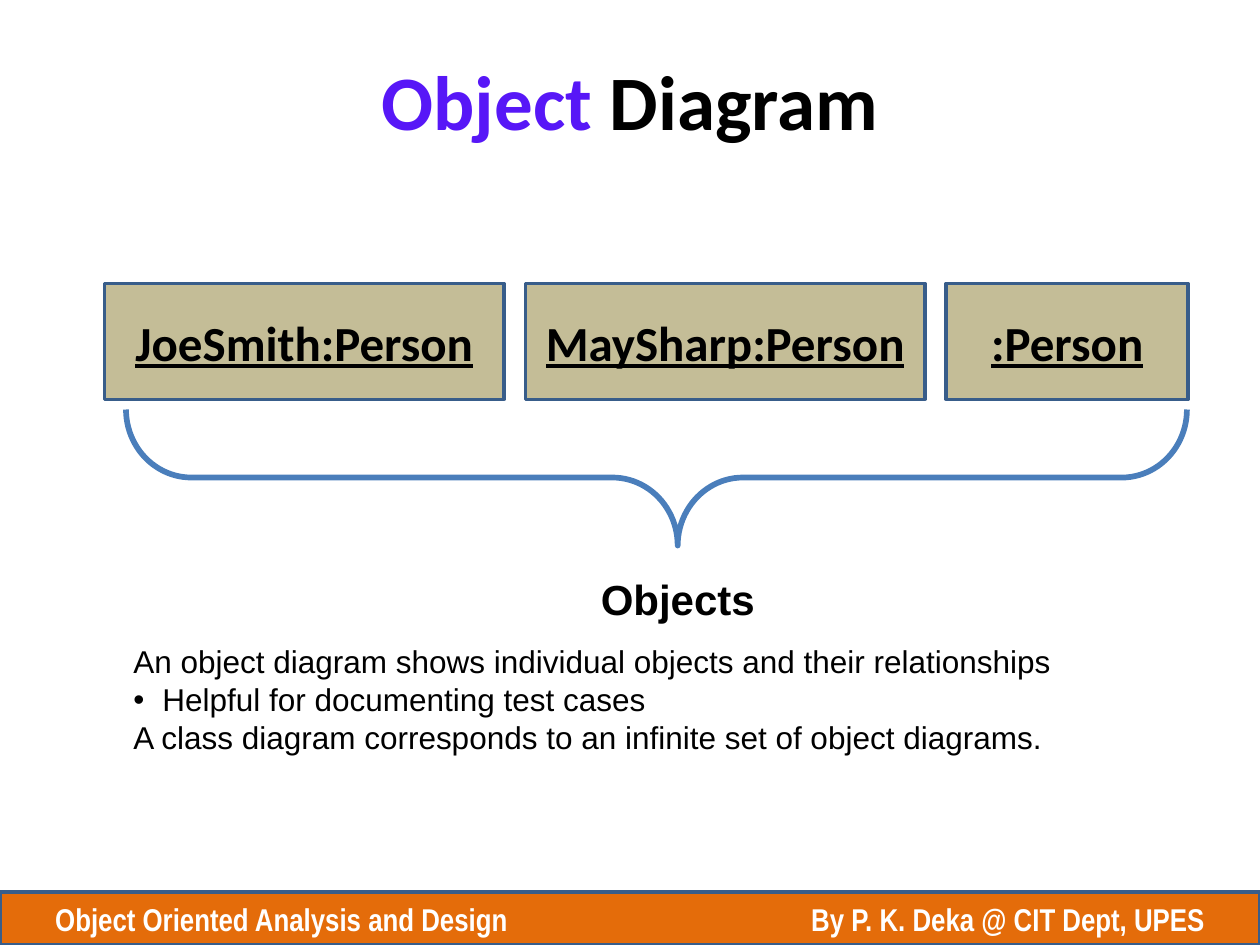
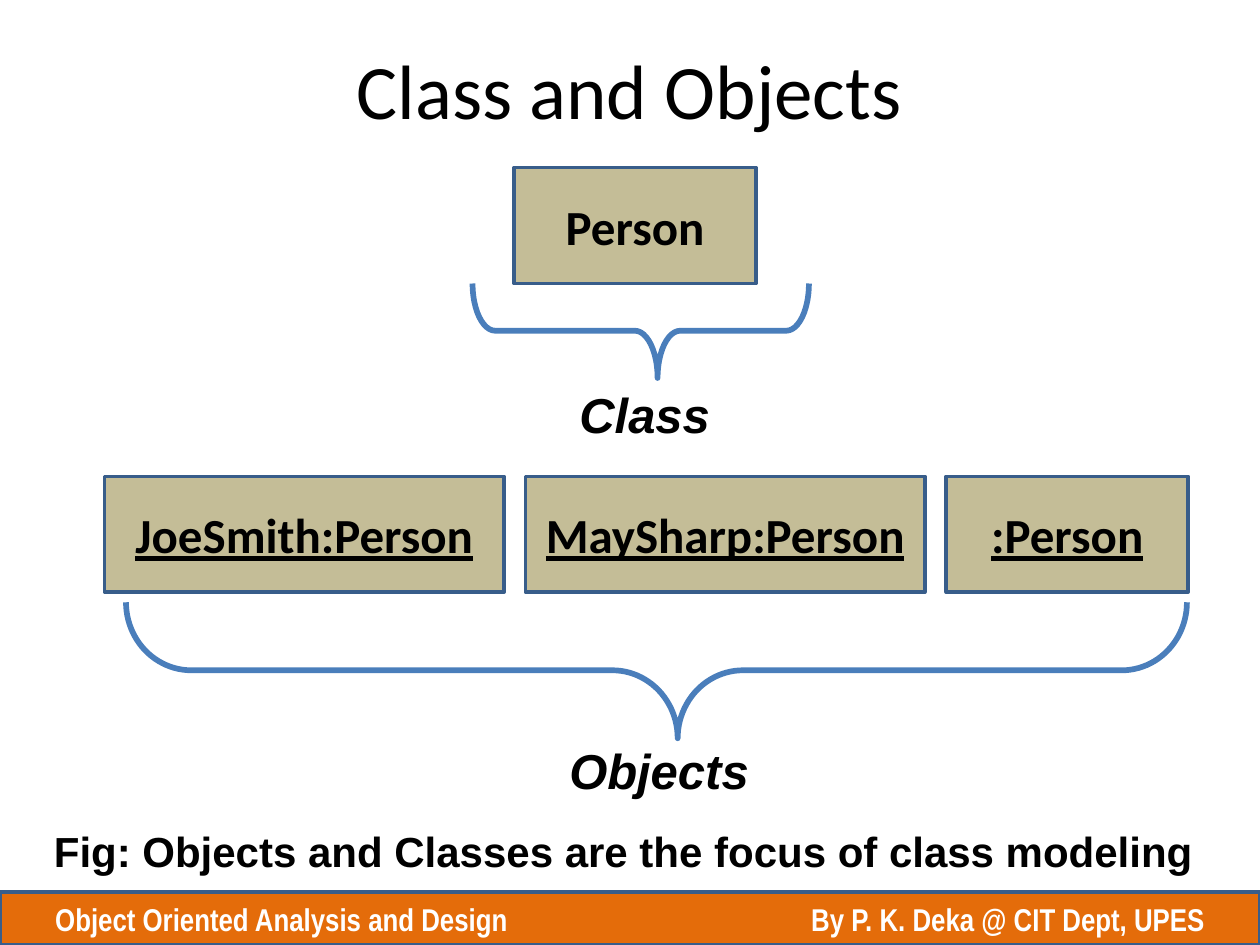
"""Builds two slides on object diagrams and on classes and their objects."""
from dataclasses import dataclass

import lxml.etree
import pptx
import pptx.dml.color
import pptx.enum.shapes
import pptx.enum.text
import pptx.oxml.ns
import pptx.util

Inches = pptx.util.Inches
Pt = pptx.util.Pt
MIDDLE = pptx.enum.text.MSO_ANCHOR.MIDDLE
CENTER = pptx.enum.text.PP_ALIGN.CENTER
qn = pptx.oxml.ns.qn


@dataclass(frozen=True)
class Theme:
    ink: str = "000000"
    accent: str = "5717F7"
    band: str = "E46C0A"
    band_ink: str = "FFFFFF"
    box: str = "C4BD97"
    border: str = "385D8A"
    brace: str = "4A7EBB"
    heading_font: str = "Calibri"
    body_font: str = "Arial"
    footer_font: str = "Arial Narrow"
    title: int = 44
    label: int = 28
    caption: int = 24
    body: int = 18


theme = Theme()
rgb = pptx.dml.color.RGBColor.from_string


def add_text(slide, at, lines, size, font=theme.body_font, color=theme.ink, fill=None,
             centered=False, bold=False, italic=False, underline=None, tabs=(), bullets=()):
    place = [Inches(length) for length in at]
    if fill:
        block = slide.shapes.add_shape(pptx.enum.shapes.MSO_SHAPE.RECTANGLE, *place)
        block.shadow.inherit = False
        block.fill.solid()
        block.fill.fore_color.rgb = rgb(fill)
        block.line.color.rgb = rgb(theme.border)
        block.line.width = Pt(2)
    else:
        block = slide.shapes.add_textbox(*place)
    frame = block.text_frame
    frame.word_wrap = True
    if centered:
        frame.vertical_anchor = MIDDLE
    frame.text = "\n".join(lines)
    for number, paragraph in enumerate(frame.paragraphs):
        properties = paragraph._p.get_or_add_pPr()
        if number in bullets:
            properties.set("marL", str(Inches(0.23)))
            properties.set("indent", str(-Inches(0.23)))
            lxml.etree.SubElement(properties, qn("a:buFont"), typeface=theme.body_font)
            lxml.etree.SubElement(properties, qn("a:buChar"), char="•")
        if tabs:
            stops = lxml.etree.SubElement(properties, qn("a:tabLst"))
            for stop in tabs:
                lxml.etree.SubElement(stops, qn("a:tab"), pos=str(Inches(stop)), algn="l")
        if centered:
            paragraph.alignment = CENTER
        paragraph.font.name = font
        paragraph.font.size = Pt(size)
        paragraph.font.color.rgb = rgb(color)
        paragraph.font.bold = bold
        paragraph.font.italic = italic
        paragraph.font.underline = underline
    return frame


def add_brace(slide, left, top, width, depth, curve, tip):
    brace = slide.shapes.add_shape(
        pptx.enum.shapes.MSO_SHAPE.RIGHT_BRACE,
        Inches(left + (width - depth) / 2), Inches(top + (depth - width) / 2),
        Inches(depth), Inches(width))
    brace.rotation = 90
    brace.adjustments[0] = curve
    brace.adjustments[1] = tip
    brace.shadow.inherit = False
    brace.fill.background()
    brace.line.color.rgb = rgb(theme.brace)
    brace.line.width = Pt(3.25)


deck = pptx.Presentation()
deck.slide_width = Inches(10)
deck.slide_height = Inches(7.5)
blank = deck.slide_layouts[6]
object_diagram = deck.slides.add_slide(blank)
class_and_objects = deck.slides.add_slide(blank)

heading = dict(size=theme.title, font=theme.heading_font, centered=True)
boxed = dict(size=theme.label, font=theme.heading_font, fill=theme.box, centered=True, bold=True)
persons = [("JoeSmith:Person", 3.17), ("MaySharp:Person", 3.17), (":Person", 1.92)]

for slide, row_top in [(object_diagram, 2.25), (class_and_objects, 3.78)]:
    add_text(slide, (0, 7.08, 10, 0.42),
             ["Object Oriented Analysis and Design \t\t\tBy P. K. Deka @ CIT Dept, UPES"],
             theme.body, theme.footer_font, theme.band_ink, theme.band,
             centered=True, bold=True, tabs=range(8))
    left = 0.83
    for person, width in persons:
        add_text(slide, (left, row_top, width, 0.92), [person], underline=True, **boxed)
        left += width + 0.17
    add_brace(slide, 1, row_top + 1, 8.42, 1.08, curve=0.48, tip=0.48)

title = add_text(object_diagram, (0.5, 0.33, 9, 0.92), ["Object"], bold=True, **heading)
title.paragraphs[0].runs[0].font.color.rgb = rgb(theme.accent)
title.paragraphs[0].add_run().text = " Diagram"
add_text(object_diagram, (4.67, 4.5, 1.5, 0.5), ["Objects"], theme.caption, bold=True)
add_text(object_diagram, (0.96, 5.05, 8.29, 1), [
    "An object diagram shows individual objects and their relationships",
    "Helpful for documenting test cases",
    "A class diagram corresponds to an infinite set of object diagrams.",
], theme.body, bullets=[1])

add_text(class_and_objects, (0.58, 0.33, 8.83, 0.75), ["Class and Objects"], **heading)
add_text(class_and_objects, (4.08, 1.33, 1.92, 0.92), ["Person"], **boxed)
add_brace(class_and_objects, 3.75, 2.25, 2.67, 0.75, curve=0.24, tip=0.45)
for term, at in [("Class", (4.5, 3, 1.5, 0.57)), ("Objects", (4.42, 5.83, 1.83, 0.57))]:
    add_text(class_and_objects, at, [term], theme.label, bold=True, italic=True)
add_text(class_and_objects, (0.33, 6.5, 9.67, 0.5),
         ["Fig: Objects and Classes are the focus of class modeling"], theme.caption, bold=True)

deck.save("out.pptx")
